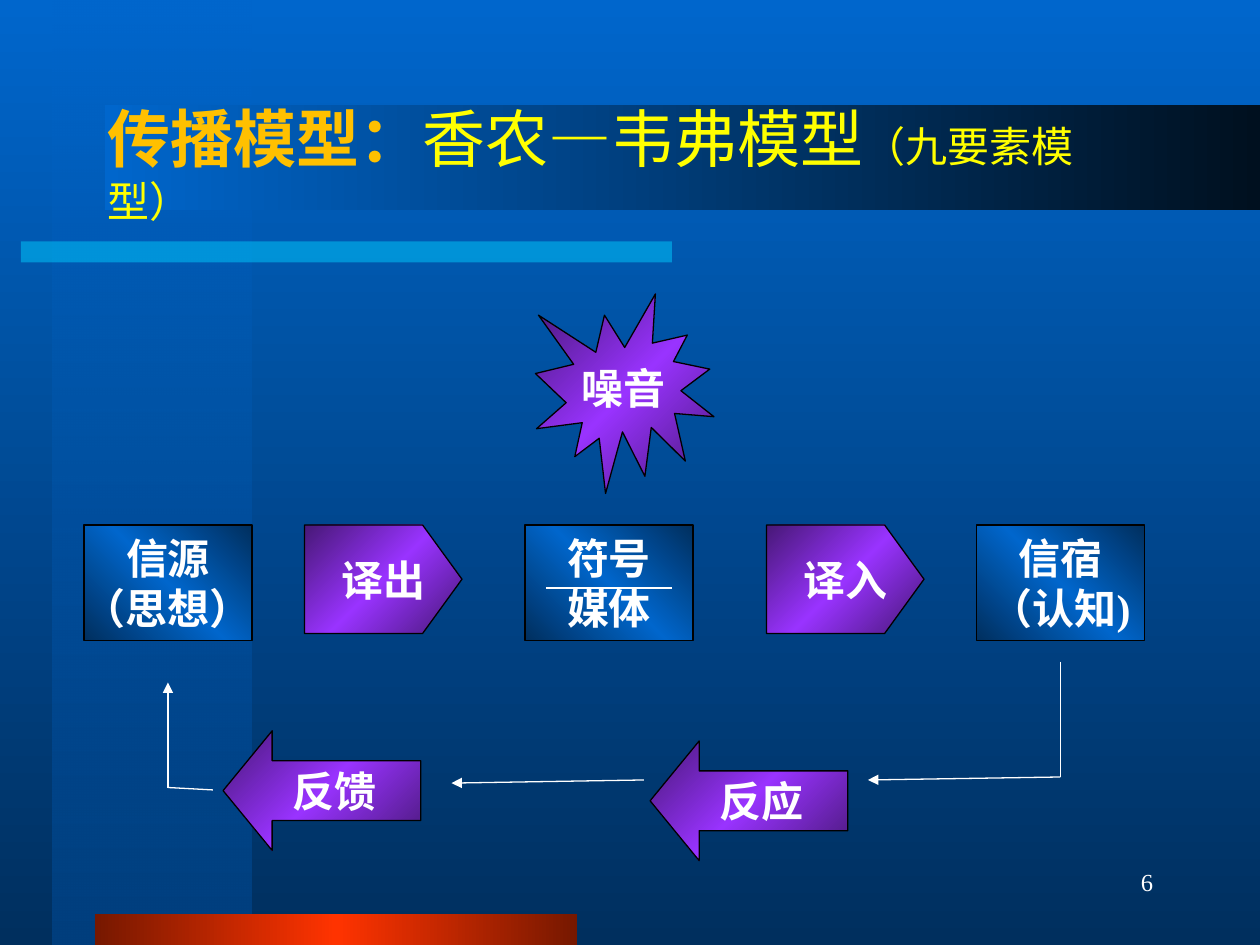
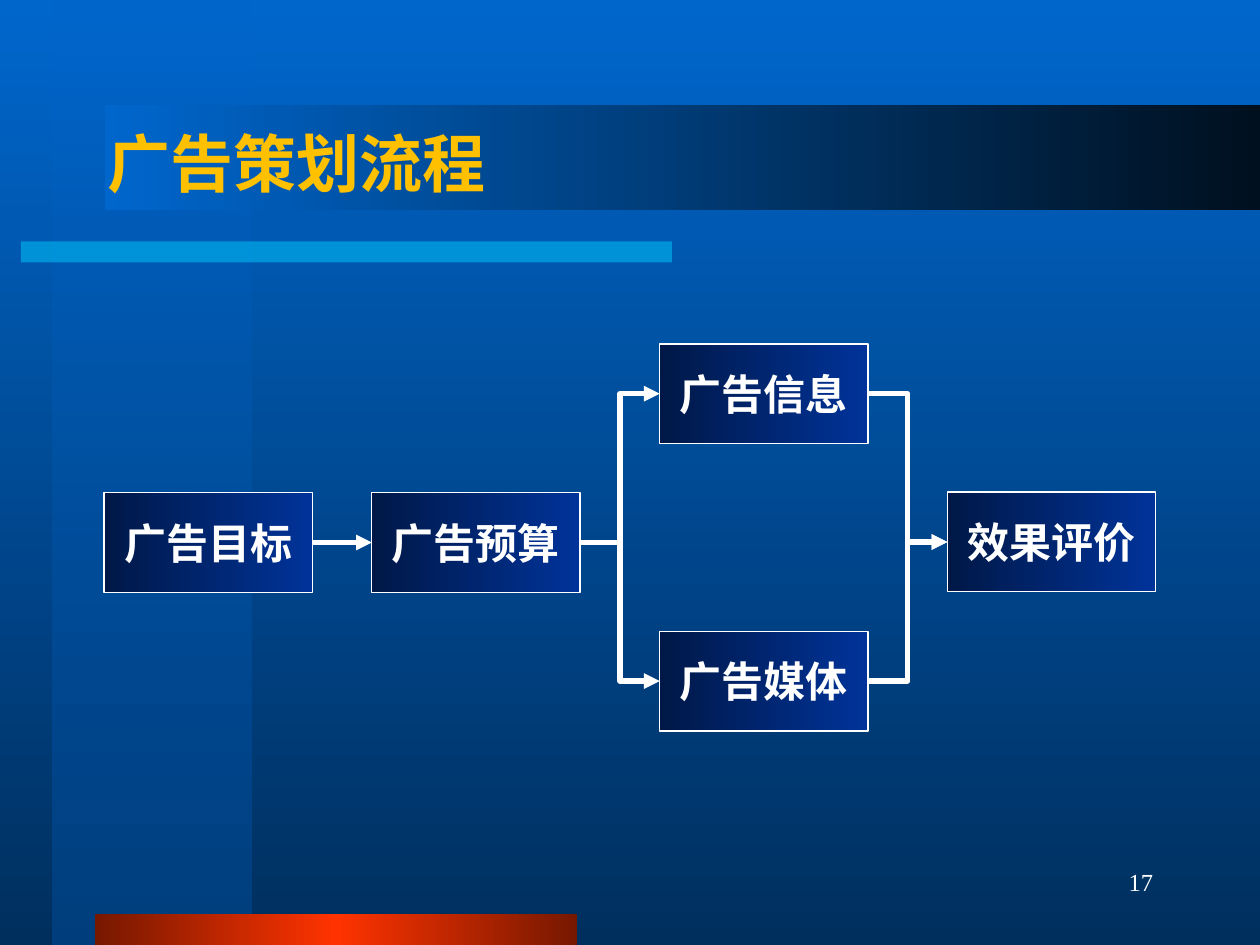
import pptx
import pptx.dml.color
import pptx.enum.dml
import pptx.enum.shapes
import pptx.enum.text
import pptx.oxml
import pptx.oxml.ns
import pptx.util

Pt = pptx.util.Pt
RGBColor = pptx.dml.color.RGBColor
MSO_SHAPE = pptx.enum.shapes.MSO_SHAPE
MSO_CONNECTOR = pptx.enum.shapes.MSO_CONNECTOR
MSO_ANCHOR = pptx.enum.text.MSO_ANCHOR
PP_ALIGN = pptx.enum.text.PP_ALIGN
qn = pptx.oxml.ns.qn

WHITE = RGBColor(0xFF, 0xFF, 0xFF)
BLACK = RGBColor(0x00, 0x00, 0x00)
GOLD = RGBColor(0xFF, 0xC0, 0x00)
YELLOW = RGBColor(0xFF, 0xFF, 0x00)
CYAN = RGBColor(0x00, 0xCC, 0xFF)
BLUE = RGBColor(0x00, 0x66, 0xCC)
DEEP_BLUE = RGBColor(0x00, 0x2F, 0x5E)
MID_BLUE = RGBColor(0x00, 0x3F, 0x7E)
NIGHT = RGBColor(0x00, 0x10, 0x1F)
RED = RGBColor(0xFF, 0x33, 0x00)
DARK_RED = RGBColor(0x76, 0x18, 0x00)
VIOLET = RGBColor(0x99, 0x33, 0xFF)
DARK_VIOLET = RGBColor(0x47, 0x18, 0x76)
NAVY = RGBColor(0x00, 0x18, 0x47)
ROYAL = RGBColor(0x00, 0x33, 0x99)

SERIF = "Times New Roman"
CJK = "Noto Sans CJK SC"


def paint_gradient(fill, element, angle, colors):
    """Fill with evenly spaced colours; angle is clockwise in degrees."""
    fill.gradient()
    gradient = element.find(".//" + qn("a:gradFill"))
    stops = gradient.find(qn("a:gsLst"))
    for stop in list(stops):
        stops.remove(stop)
    for i, color in enumerate(colors):
        stop = pptx.oxml.ns.qn("a:gs")
        stop = stops.makeelement(stop, {"pos": str(100000 * i // (len(colors) - 1))})
        stop.append(stop.makeelement(qn("a:srgbClr"), {"val": str(color)}))
        stops.append(stop)
    gradient.find(qn("a:lin")).set("ang", str(angle * 60000))


def style_run(run, size, color, bold=False, latin=SERIF):
    run.font.size = Pt(size)
    run.font.color.rgb = color
    run.font.bold = bold
    run.font.name = latin
    properties = run.font._element if hasattr(run.font, "_element") else run._r.get_or_add_rPr()
    properties.append(properties.makeelement(qn("a:ea"), {"typeface": CJK}))


deck = pptx.Presentation()
deck.slide_width, deck.slide_height = Pt(720), Pt(540)
layout = deck.slide_layouts[5]
model = deck.slides.add_slide(layout)
process = deck.slides.add_slide(layout)

# Shared background and bands, kept in the layout
paint_gradient(layout.background.fill, layout.element, 90, [BLUE, DEEP_BLUE])
bands = [
    ((30, 0, 114, 540), 90, [BLUE, MID_BLUE]),
    ((12, 138, 372, 12), 0, [CYAN, CYAN]),
    ((54, 522, 276, 18), 0, [DARK_RED, RED, DARK_RED]),
    ((60, 60, 660, 60), 0, [BLUE, NIGHT]),
]
for depth, (box, angle, colors) in enumerate(bands):
    band = model.shapes.add_shape(MSO_SHAPE.RECTANGLE, *map(Pt, box))
    band.shadow.inherit = False
    band.line.fill.background()
    paint_gradient(band.fill, band.element, angle, colors)
    tints = list(band.element.iter(qn("a:gs")))
    see_through = {0: tints[:1], 1: tints}.get(depth, [])
    for tint in see_through:
        tint[0].append(tint.makeelement(qn("a:alpha"), {"val": "50000"}))
    layout.shapes.element.insert(2 + depth, band.element)

# Titles and page numbers
headings = [
    (model, "6", [("传播模型：", 36, GOLD, True, SERIF),
                  ("香农—韦弗模型", 36, YELLOW, False, CJK),
                  ("（九要素模型）", 24, YELLOW, False, CJK)]),
    (process, "17", [("广告策划流程", 36, GOLD, True, SERIF)]),
]
for slide, number, parts in headings:
    title = slide.shapes.title
    title.left, title.top, title.width, title.height = map(Pt, (54, 48, 612, 90))
    title.text_frame.auto_size = pptx.enum.text.MSO_AUTO_SIZE.NONE
    title.text_frame.vertical_anchor = MSO_ANCHOR.MIDDLE
    heading = title.text_frame.paragraphs[0]
    heading.alignment = PP_ALIGN.LEFT
    for text, *look in parts:
        run = heading.add_run()
        run.text = text
        style_run(run, *look)

    page = slide.shapes.add_textbox(*map(Pt, (516, 492, 150, 36))).text_frame
    page.word_wrap = True
    page.text = number
    page.paragraphs[0].alignment = PP_ALIGN.RIGHT
    style_run(page.paragraphs[0].runs[0], 14, WHITE)

# Nodes of both diagrams
blue_look = (315, [DEEP_BLUE, BLUE, DEEP_BLUE], BLACK)
violet_look = (45, [DARK_VIOLET, VIOLET, DARK_VIOLET], BLACK)
navy_look = (0, [NAVY, ROYAL], WHITE)
nodes = []
for text, left in [("信源\n（思想）", 48), ("符号\n媒体", 300), ("信宿\n（认知)", 558)]:
    stage = model.shapes.add_shape(MSO_SHAPE.RECTANGLE, *map(Pt, (left, 300, 96, 66)))
    nodes.append((stage, text, blue_look))
for text, left in [("译出", 174), ("译入", 438)]:
    outline = model.shapes.build_freeform(Pt(left), Pt(300))
    corners = [(67.5, 0), (90, 31), (67.5, 62), (0, 62)]
    outline.add_line_segments([(Pt(left + x), Pt(300 + y)) for x, y in corners])
    nodes.append((outline.convert_to_shape(), text, violet_look))
noise = model.shapes.add_shape(MSO_SHAPE.EXPLOSION1, *map(Pt, (306, 168, 102, 114)))
nodes.append((noise, "噪音", violet_look))
for text, left, top in [("反应", 371.5, 423.4), ("反馈", 127.5, 417.6)]:
    reply = model.shapes.add_shape(MSO_SHAPE.LEFT_ARROW, *map(Pt, (left, top, 113, 68.4)))
    reply.adjustments[1] = 0.41
    nodes.append((reply, text, violet_look))

steps = {}
for text, left, top in [("广告目标", 59.5, 281.5), ("广告预算", 212.5, 281.5),
                        ("效果评价", 541.4, 281.2), ("广告媒体", 377, 360.7),
                        ("广告信息", 377, 196.5)]:
    steps[text] = process.shapes.add_shape(
        MSO_SHAPE.RECTANGLE, *map(Pt, (left, top, 119, 57)))
    nodes.append((steps[text], text, navy_look))

for node, text, (angle, colors, border) in nodes:
    node.shadow.inherit = False
    paint_gradient(node.fill, node.element, angle, colors)
    node.line.color.rgb = border
    node.line.width = Pt(0.75)
    node.text_frame.word_wrap = False
    node.text_frame.vertical_anchor = MSO_ANCHOR.MIDDLE
    node.text_frame.text = text
    for paragraph in node.text_frame.paragraphs:
        paragraph.alignment = PP_ALIGN.CENTER
        style_run(paragraph.runs[0], 24, WHITE, True)

# Lines and arrows
links = []
for ends, has_arrow in [((606, 378, 606, 444), False), ((606, 444, 496, 445.7), True),
                        ((121.7, 451.4, 96, 450), False), ((96, 450, 96, 390), True),
                        ((312, 336, 384, 336), False), ((368, 445.7, 258, 447.5), True)]:
    link = model.shapes.add_connector(MSO_CONNECTOR.STRAIGHT, *map(Pt, ends))
    links.append((link, 0.75, has_arrow))
for start, end, kind in [("广告目标", "广告预算", MSO_CONNECTOR.STRAIGHT),
                         ("广告预算", "广告信息", MSO_CONNECTOR.ELBOW),
                         ("广告预算", "广告媒体", MSO_CONNECTOR.ELBOW),
                         ("广告信息", "效果评价", MSO_CONNECTOR.ELBOW),
                         ("广告媒体", "效果评价", MSO_CONNECTOR.ELBOW)]:
    link = process.shapes.add_connector(kind, 0, 0, 0, 0)
    source, target = steps[start], steps[end]
    link.begin_x, link.begin_y = source.left + source.width, source.top + source.height // 2
    link.end_x, link.end_y = target.left, target.top + target.height // 2
    link.begin_connect(source, 3)
    link.end_connect(target, 1)
    links.append((link, 3, True))

for link, width, has_arrow in links:
    link.line.color.rgb = WHITE
    link.line.width = Pt(width)
    if has_arrow:
        line = link.line._get_or_add_ln()
        line.append(line.makeelement(qn("a:tailEnd"), {"type": "triangle"}))
    properties = link.element.spPr
    properties.append(properties.makeelement(qn("a:effectLst"), {}))

deck.save("out.pptx")
